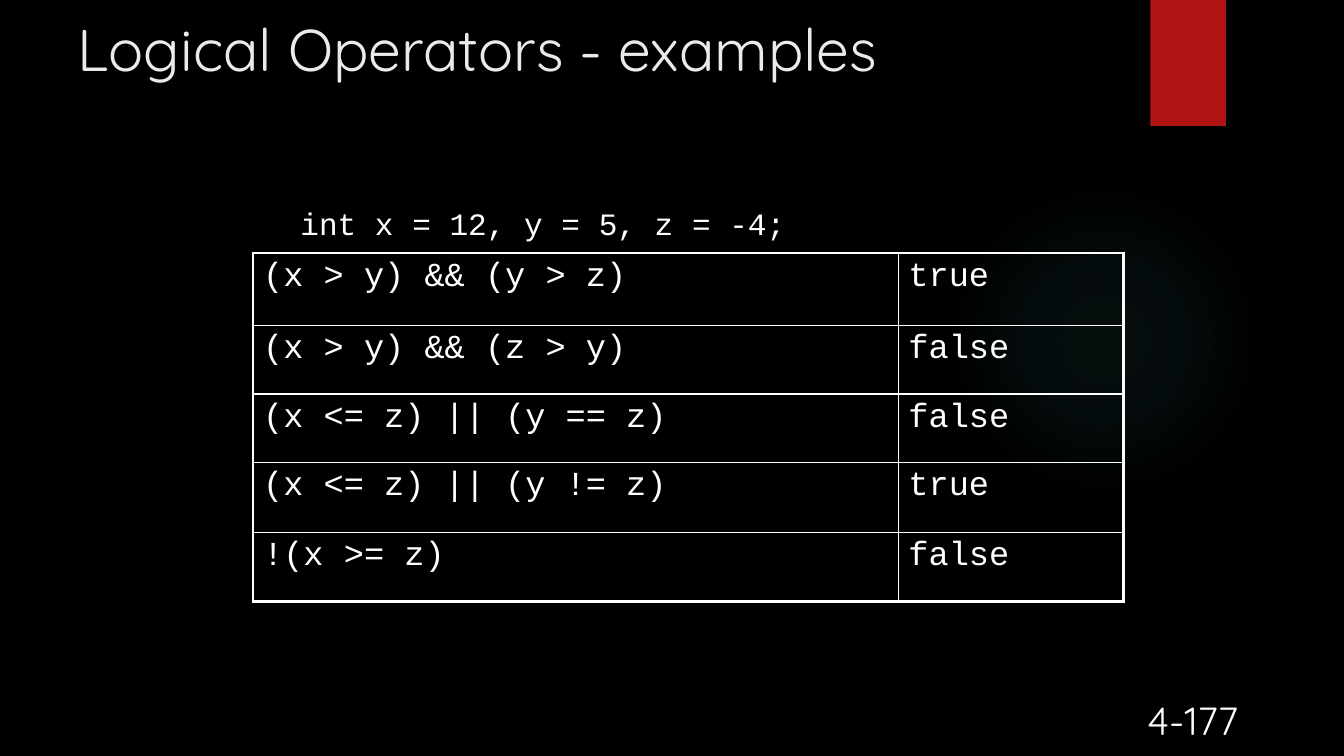
from lxml import etree
from pptx import Presentation
from pptx.dml.color import RGBColor
from pptx.enum.shapes import MSO_SHAPE
from pptx.enum.text import MSO_ANCHOR, PP_ALIGN
from pptx.oxml import parse_xml
from pptx.oxml.ns import qn
from pptx.util import Inches, Pt

OVAL, RECTANGLE = MSO_SHAPE.OVAL, MSO_SHAPE.RECTANGLE
TOP, BOTTOM = MSO_ANCHOR.TOP, MSO_ANCHOR.BOTTOM
LEFT, CENTER = PP_ALIGN.LEFT, PP_ALIGN.CENTER
COLORS = {"background": "000000", "glow": "50B9C1", "ribbon": "B01513",
          "title": "EBEBEB", "text": "FFFFFF"}
HEADING_FONT, CODE_FONT = "Quicksand", "Courier New"
DRAWING = 'xmlns:a="http://schemas.openxmlformats.org/drawingml/2006/main"'


def write(frame, text, font, size, color="text", align=LEFT, anchor=TOP):
    frame.text = text
    frame.word_wrap = True
    frame.vertical_anchor = anchor
    para = frame.paragraphs[0]
    para.alignment = align
    span = para.runs[0]
    span.font.name = font
    span.font.size = Pt(size)
    span.font.color.rgb = RGBColor.from_string(COLORS[color])


def add_border(cell, side, width):
    line = etree.SubElement(cell._tc.get_or_add_tcPr(), qn(f"a:{side}"), w=str(Pt(width)))
    fill = etree.SubElement(line, qn("a:solidFill"))
    etree.SubElement(fill, qn("a:srgbClr"), val=COLORS["text"])


deck = Presentation()
deck.slide_width, deck.slide_height = Inches(13.33), Inches(7.5)
page = deck.slides.add_slide(deck.slide_layouts[5])
page.background.fill.solid()
page.background.fill.fore_color.rgb = RGBColor.from_string(COLORS["background"])

# Soft round glow
glow = page.shapes.add_shape(OVAL, Inches(9.41), Inches(1.83), Inches(3.08), Inches(3.08))
glow.shadow.inherit = False
glow.line.fill.background()
stops = "".join(
    f'<a:gs pos="{place * 1000}"><a:srgbClr val="{COLORS["glow"]}">'
    f'<a:alpha val="{alpha * 1000}"/></a:srgbClr></a:gs>'
    for place, alpha in [(0, 7), (36, 6), (69, 0), (100, 0)])
glow_fill = parse_xml(
    f'<a:gradFill {DRAWING}><a:gsLst>{stops}</a:gsLst><a:path path="circle">'
    '<a:fillToRect l="50000" t="50000" r="50000" b="50000"/></a:path></a:gradFill>')
glow._element.spPr.find(qn("a:prstGeom")).addnext(glow_fill)

# Red ribbon
ribbon = page.shapes.add_shape(RECTANGLE, Inches(11.41), 0, Inches(0.75), Inches(1.25))
ribbon.shadow.inherit = False
ribbon.line.fill.background()
ribbon.fill.solid()
ribbon.fill.fore_color.rgb = RGBColor.from_string(COLORS["ribbon"])

# Title
title = page.shapes.title
title.left, title.top = Inches(0.67), Inches(0.08)
title.width, title.height = Inches(11.11), Inches(1.25)
write(title.text_frame, "Logical Operators - examples", HEADING_FONT, 42, "title")

# Page number
number = page.shapes.add_textbox(Inches(10.44), Inches(6.92), Inches(2.78), Inches(0.5))
write(number.text_frame, "4-177", HEADING_FONT, 28, align=CENTER, anchor=BOTTOM)

# Variable declaration
declaration = page.shapes.add_textbox(Inches(2.5), Inches(2.03), Inches(8.23), Inches(0.82))
declaration.text_frame.margin_left = Inches(0.48)
declaration.text_frame.margin_top = 0
write(declaration.text_frame, "int x = 12, y = 5, z = -4;", CODE_FONT, 22.2)

# Table of expressions and results
examples = [
    ("(x > y) && (y > z)", "true"),
    ("(x > y) && (z > y)", "false"),
    ("(x <= z) || (y == z)", "false"),
    ("(x <= z) || (y != z)", "true"),
    ("!(x >= z)", "false"),
]
row_heights = [0.72, 0.68, 0.68, 0.69, 0.69]
last = len(examples) - 1
table = page.shapes.add_table(len(examples), 2, Inches(2.51), Inches(2.51),
                              Inches(8.63), Inches(3.46)).table
table.first_row = table.horz_banding = False
table.columns[0].width, table.columns[1].width = Inches(6.4), Inches(2.23)
for row, example in enumerate(examples):
    table.rows[row].height = Inches(row_heights[row])
    for column, text in enumerate(example):
        cell = table.cell(row, column)
        write(cell.text_frame, text, CODE_FONT, 24)
        outer_edges = {"lnL": column == 0, "lnR": column == 1,
                       "lnT": row == 0, "lnB": row == last}
        for side, outer in outer_edges.items():
            add_border(cell, side, 2.25 if outer else 1)
        cell.fill.background()

deck.save("out.pptx")
